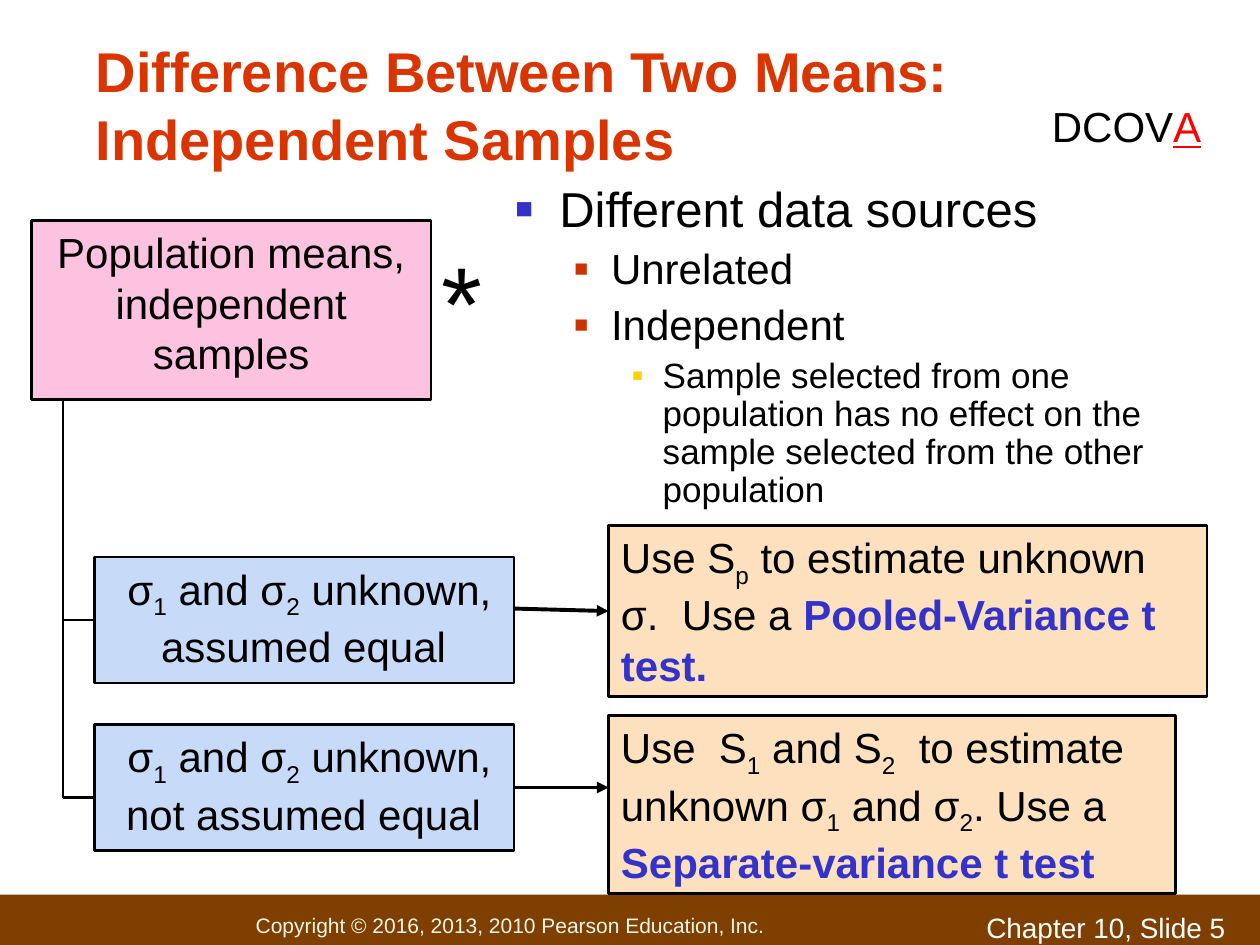
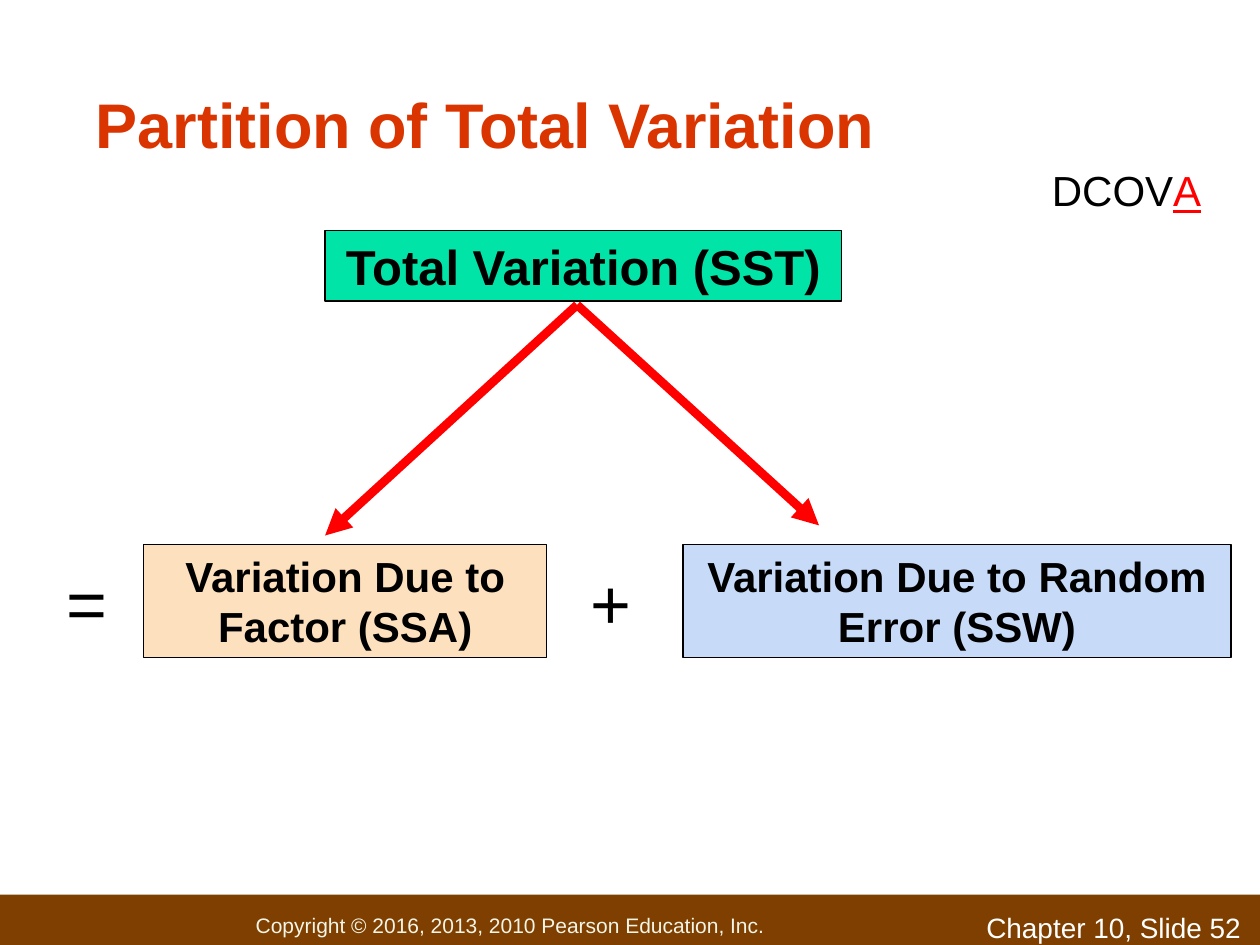
"""Build two statistics slides: independent samples and partition of variation."""
from dataclasses import dataclass
from typing import NamedTuple, Optional

from lxml.etree import SubElement
from pptx import Presentation
from pptx.dml.color import RGBColor
from pptx.enum.shapes import MSO_CONNECTOR as Connector, MSO_SHAPE as Shape
from pptx.enum.text import MSO_ANCHOR as Anchor, MSO_AUTO_SIZE as AutoSize, PP_ALIGN as Align
from pptx.oxml.ns import qn
from pptx.util import Inches, Pt

FONT = "Arial"
COLORS = {
    "band": "7E3F00", "copyright": "F3F5E7", "white": "FFFFFF", "black": "000000",
    "title": "DA3400", "pink": "FCC2E0", "peach": "FDE0BD", "blue": "C7DAF7",
    "green": "00E4A8", "red": "FF0000", "method": "3333CC",
    "bullet1": "3333CC", "bullet2": "CC3300", "bullet3": "FFCF01",
}


class Area(NamedTuple):
    left: float
    top: float
    width: float
    height: float


class Span(NamedTuple):
    text: str
    color: Optional[str] = None
    bold: Optional[bool] = None
    underline: bool = False
    subscript: bool = False


class Level(NamedTuple):
    size: int
    indent: float
    hanging: float
    before: float
    color: str
    percent: int


@dataclass
class Card:
    area: Area
    fill: str
    spans: list
    line: float = 1.5
    size: int = 24
    bold: bool = False
    align: Align = Align.CENTER
    left_inset: float = 0.1


@dataclass
class Link:
    start: tuple
    end: tuple
    color: str = "black"
    width: float = 1.5
    arrow: bool = False
    source: object = None
    target: object = None


LEVELS = [
    Level(28, 0.35, 0.35, 7, "bullet1", 60),
    Level(24, 0.76, 0.29, 6, "bullet2", 55),
    Level(20, 1.17, 0.24, 5, "bullet3", 50),
]
RIGHT_SIDE, LEFT_SIDE = 3, 1


def rgb(name: str) -> RGBColor:
    """Look up a named colour."""
    return RGBColor.from_string(COLORS[name])


def sub(text: str) -> Span:
    """Make a subscript span."""
    return Span(text, subscript=True)


def add_spans(para, spans, *, size: int, color: str = "black", bold: bool = False,
              align: Align = Align.LEFT) -> None:
    """Add formatted spans, or one plain string, to a paragraph."""
    para.alignment = align
    for item in [Span(spans)] if isinstance(spans, str) else spans:
        span = para.add_run()
        span.text = item.text
        font = span.font
        font.name, font.size = FONT, Pt(size)
        font.bold = bold if item.bold is None else item.bold
        font.color.rgb = rgb(item.color or color)
        if item.underline:
            font.underline = True
        if item.subscript:
            span._r.get_or_add_rPr().set("baseline", "-25000")


def set_frame(frame, anchor: Anchor = Anchor.TOP, left: float = 0.1,
              right: float = 0.1, wrap: bool = True) -> None:
    """Set wrapping, anchor and insets of a text frame."""
    frame.word_wrap = wrap
    frame.auto_size = AutoSize.NONE
    frame.vertical_anchor = anchor
    frame.margin_left, frame.margin_right = Inches(left), Inches(right)
    frame.margin_top = frame.margin_bottom = Inches(0.05)


def add_text(page, area: Area, spans, *, wrap: bool = True, **style) -> None:
    """Place a one-paragraph text box."""
    box = page.shapes.add_textbox(*map(Inches, area))
    set_frame(box.text_frame, wrap=wrap)
    add_spans(box.text_frame.paragraphs[0], spans, **style)


def add_rectangle(page, area: Area, fill: str, line: float = 0):
    """Draw a filled rectangle, outlined in black if a line width is given."""
    box = page.shapes.add_shape(Shape.RECTANGLE, *map(Inches, area))
    box.shadow.inherit = False
    box.fill.solid()
    box.fill.fore_color.rgb = rgb(fill)
    if line:
        box.line.color.rgb = rgb("black")
        box.line.width = Pt(line)
    else:
        box.line.fill.background()
    return box


def add_card(page, card: Card):
    """Draw a rectangle holding text."""
    box = add_rectangle(page, card.area, card.fill, card.line)
    set_frame(box.text_frame, left=card.left_inset)
    add_spans(box.text_frame.paragraphs[0], card.spans, size=card.size,
              bold=card.bold, align=card.align)
    return box


def add_link(page, link: Link) -> None:
    """Draw a straight line or arrow, joined to boxes where they are given."""
    line = page.shapes.add_connector(Connector.STRAIGHT, *map(Inches, link.start + link.end))
    if link.source is not None:
        line.begin_connect(link.source, RIGHT_SIDE)
    if link.target is not None:
        line.end_connect(link.target, LEFT_SIDE)
    line.line.color.rgb = rgb(link.color)
    line.line.width = Pt(link.width)
    if link.arrow:
        SubElement(line.line._get_or_add_ln(), qn("a:tailEnd"), type="triangle")
    SubElement(line._element.spPr, qn("a:effectLst"))


def add_bullets(page, area: Area, items) -> None:
    """Place a bulleted list of (level, text) pairs."""
    frame = page.shapes.add_textbox(*map(Inches, area)).text_frame
    set_frame(frame, left=0.09, right=0.09)
    for index, (depth, text) in enumerate(items):
        level = LEVELS[depth]
        para = frame.add_paragraph() if index else frame.paragraphs[0]
        para.level = depth
        para.line_spacing = 0.9
        if index:
            para.space_before = Pt(level.before)
        props = para._p.get_or_add_pPr()
        props.set("marL", str(Inches(level.indent)))
        props.set("indent", str(-Inches(level.hanging)))
        color = SubElement(props, qn("a:buClr"))
        SubElement(color, qn("a:srgbClr"), val=COLORS[level.color])
        SubElement(props, qn("a:buSzPct"), val=str(level.percent * 1000))
        SubElement(props, qn("a:buFont"), typeface=FONT)
        SubElement(props, qn("a:buChar"), char="■")
        add_spans(para, text, size=level.size)


def add_page(deck, title: str, area: Area, number: int, *, size: int,
             spacing: float, tag_top: float):
    """Add a slide with its title, footer band and DCOVA tag."""
    page = deck.slides.add_slide(deck.slide_layouts[5])
    heading = page.shapes.title
    heading.left, heading.top, heading.width, heading.height = map(Inches, area)
    set_frame(heading.text_frame, Anchor.BOTTOM, 0.09, 0.09)
    para = heading.text_frame.paragraphs[0]
    para.line_spacing = spacing
    add_spans(para, title, size=size, color="title", bold=True)

    band = add_rectangle(page, Area(0, 7.1, 10, 0.49), "band")
    set_frame(band.text_frame, Anchor.MIDDLE, left=2.03, right=0)
    add_spans(band.text_frame.paragraphs[0],
              "Copyright © 2016, 2013, 2010 Pearson Education, Inc.",
              size=12, color="copyright")
    add_text(page, Area(7.73, 7.18, 2.27, 0.26), f"Chapter 10, Slide {number}",
             wrap=False, size=16, color="white")
    add_text(page, Area(8.25, tag_top, 1.58, 0.5),
             [Span("DCOV"), Span("A", "red", underline=True)], size=24)
    return page


def build_samples(deck) -> None:
    """Build the independent samples slide."""
    page = add_page(deck, "Difference Between Two Means: Independent Samples",
                    Area(0.67, 0.58, 8.52, 0.83), 5, size=32, spacing=1.0, tag_top=0.75)
    add_card(page, Card(Area(0.25, 1.75, 3.17, 1.42), "pink",
                        "Population means, independent samples"))
    add_text(page, Area(3.33, 1.83, 0.67, 1.1), "*", size=60, align=Align.CENTER)

    sigmas = [Span("σ"), sub("1"), Span(" and σ"), sub("2")]
    equal, unequal = [
        add_card(page, Card(Area(0.75, top, 3.33, 1), "blue",
                            sigmas + [Span(f" unknown, {case} equal ")], left_inset=0.18))
        for top, case in [(4.42, "assumed"), (5.75, "not assumed")]
    ]
    pooled = add_card(page, Card(
        Area(4.83, 4.17, 4.75, 1.36), "peach",
        [Span("Use S"), sub("p"), Span(" to estimate unknown σ.  Use a "),
         Span("Pooled-Variance t test.", "method", True)], align=Align.LEFT))
    add_card(page, Card(
        Area(4.83, 5.68, 4.5, 1.41), "peach",
        [Span("Use  S"), sub("1"), Span(" and S"), sub("2"),
         Span("  to estimate unknown "), *sigmas, Span(". Use a "),
         Span("Separate-variance t test", "method", True)], align=Align.LEFT))

    for link in [
        Link((0.5, 3.17), (0.5, 6.33)),
        Link((0.5, 4.92), (0.75, 4.92), target=equal),
        Link((0.5, 6.33), (0.75, 6.33)),
        Link((4.08, 4.83), (4.83, 4.83), width=2.25, arrow=True, target=pooled),
        Link((4.08, 6.25), (4.83, 6.25), width=2.25, arrow=True, source=unequal),
    ]:
        add_link(page, link)

    add_bullets(page, Area(4, 1.42, 5.83, 2.92), [
        (0, "Different data sources"),
        (1, "Unrelated"),
        (1, "Independent"),
        (2, "Sample selected from one population has no effect on the sample "
            "selected from the other population"),
    ])


def build_partition(deck) -> None:
    """Build the partition of total variation slide."""
    page = add_page(deck, "Partition of Total Variation", Area(0.67, 0.25, 8.67, 1.08),
                    52, size=36, spacing=1.1, tag_top=1.26)
    for end in [(2.58, 4.25), (6.5, 4.17)]:
        add_link(page, Link((4.58, 2.42), end, "red", 5, arrow=True))
    for card in [
        Card(Area(2.58, 1.83, 4.1, 0.56), "green", "Total Variation (SST)", 1, 28, True),
        Card(Area(1.14, 4.32, 3.2, 0.9), "peach", "Variation Due to Factor (SSA)",
             0.75, bold=True),
        Card(Area(5.42, 4.32, 4.35, 0.9), "blue", "Variation Due to Random Error (SSW)",
             0.75, bold=True),
    ]:
        add_card(page, card)
    for left, sign in [(0.43, "="), (4.59, "+")]:
        add_text(page, Area(left, 4.39, 0.91, 0.76), sign, size=40)


def main() -> None:
    """Build and save the deck."""
    deck = Presentation()
    deck.slide_width, deck.slide_height = Inches(10), Inches(7.5)
    build_samples(deck)
    build_partition(deck)
    deck.save("out.pptx")


if __name__ == "__main__":
    main()
